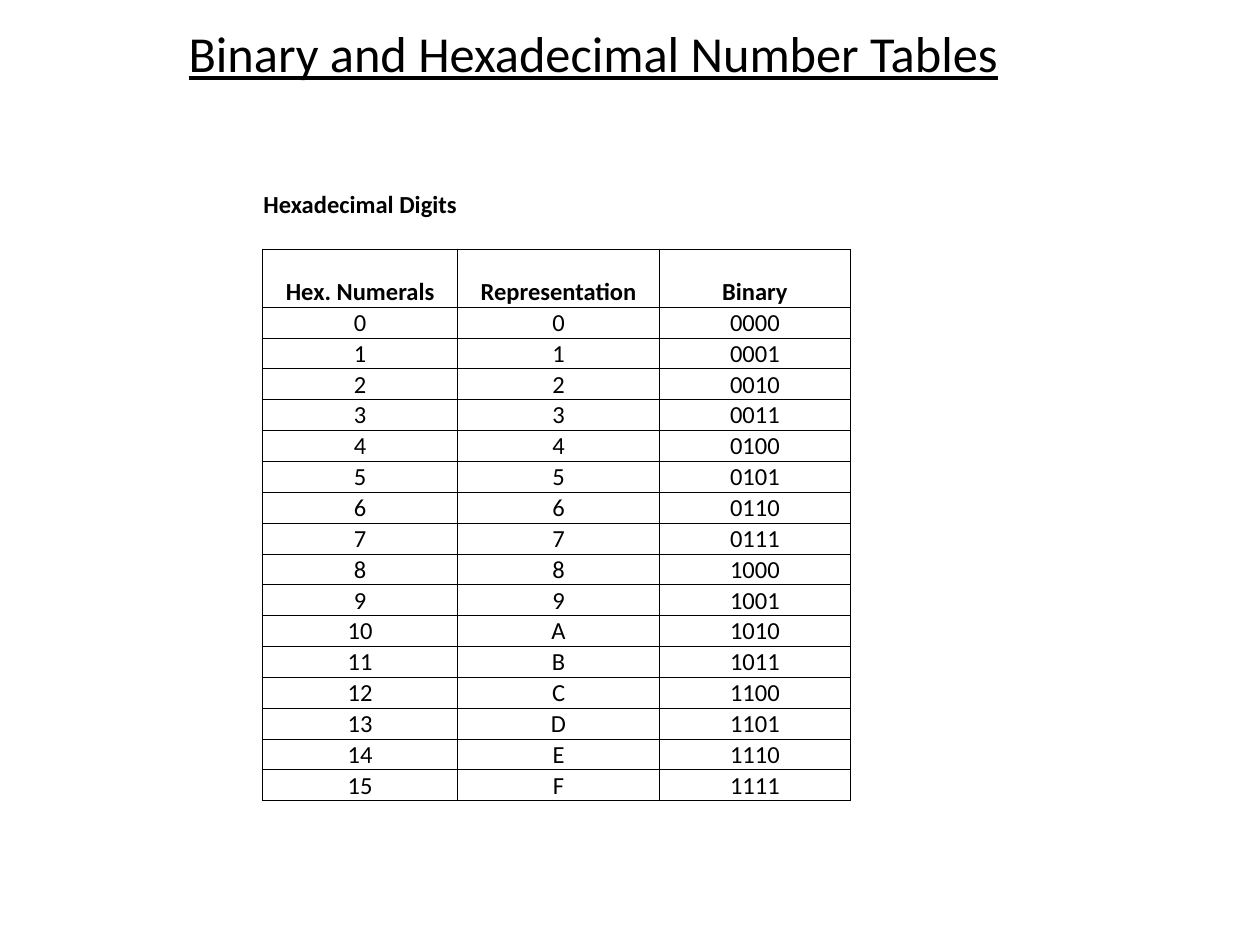
from lxml.etree import SubElement
from pptx import Presentation
from pptx.dml.color import RGBColor
from pptx.enum.text import MSO_ANCHOR as Anchor, MSO_AUTO_SIZE as AutoSize, PP_ALIGN as Align
from pptx.oxml.ns import qn
from pptx.util import Cm, Pt

TITLE = "Binary and Hexadecimal Number Tables"
CAPTION = "Hexadecimal Digits"
HEADINGS = ("Hex. Numerals", "Representation", "Binary")
DIGITS = [(str(n), f"{n:X}", f"{n:04b}") for n in range(16)]
ROWS = [(CAPTION, "", ""), HEADINGS, *DIGITS]
COLUMN_WIDTHS = (3.94, 4.06, 3.86)
ROW_HEIGHTS = [1.21, 1.17] + [0.62] * len(DIGITS)
BLACK = "000000"


def style_font(font, size, bold=False, underline=False, color=BLACK):
    font.name = "Calibri"
    font.size = Pt(size)
    font.bold = bold
    font.underline = underline
    font.color.rgb = RGBColor.from_string(color)


def set_borders(cell, visible_sides):
    properties = cell._tc.get_or_add_tcPr()
    for index, side in enumerate("LRTB"):
        line = SubElement(properties, qn(f"a:ln{side}"), w=str(Pt(0.5)))
        if side in visible_sides:
            fill = SubElement(line, qn("a:solidFill"))
            SubElement(fill, qn("a:srgbClr"), val=BLACK)
        else:
            SubElement(line, qn("a:noFill"))


def add_title(page):
    box = page.shapes.title
    box.left, box.top, box.width, box.height = Cm(1.07), Cm(0.43), Cm(21.79), Cm(1.27)
    frame = box.text_frame
    frame.text = TITLE
    frame.auto_size = AutoSize.NONE
    frame.vertical_anchor = Anchor.MIDDLE
    frame.paragraphs[0].alignment = Align.CENTER
    style_font(frame.paragraphs[0].runs[0].font, 28.8, underline=True)


def fill_cell(cell, text, row):
    cell.text = text
    cell.margin_left = cell.margin_right = cell.margin_top = Cm(0.02)
    cell.margin_bottom = 0
    cell.vertical_anchor = Anchor.TOP if row == 0 else Anchor.BOTTOM
    para = cell.text_frame.paragraphs[0]
    para.alignment = Align.LEFT if row == 0 else Align.CENTER
    for span in para.runs or [para]:
        style_font(span.font, 14, bold=row < 2)
    set_borders(cell, "B" if row == 0 else "LRTB")
    cell.fill.background()


def add_digit_table(page):
    frame = page.shapes.add_table(len(ROWS), len(HEADINGS), Cm(5.29), Cm(3.81),
                                  Cm(sum(COLUMN_WIDTHS)), Cm(sum(ROW_HEIGHTS)))
    table = frame.table
    table.first_row = table.horz_banding = False
    for column, width in zip(table.columns, COLUMN_WIDTHS):
        column.width = Cm(width)
    for row, (texts, height) in enumerate(zip(ROWS, ROW_HEIGHTS)):
        table.rows[row].height = Cm(height)
        for column, text in enumerate(texts):
            fill_cell(table.cell(row, column), text, row)
    table.cell(0, 0).merge(table.cell(0, 1))


def main():
    """Build the slide with the hexadecimal and binary digit table."""
    deck = Presentation()
    deck.slide_width, deck.slide_height = Cm(25.4), Cm(19.05)
    page = deck.slides.add_slide(deck.slide_layouts[5])
    add_title(page)
    add_digit_table(page)
    deck.save("out.pptx")


if __name__ == "__main__":
    main()
